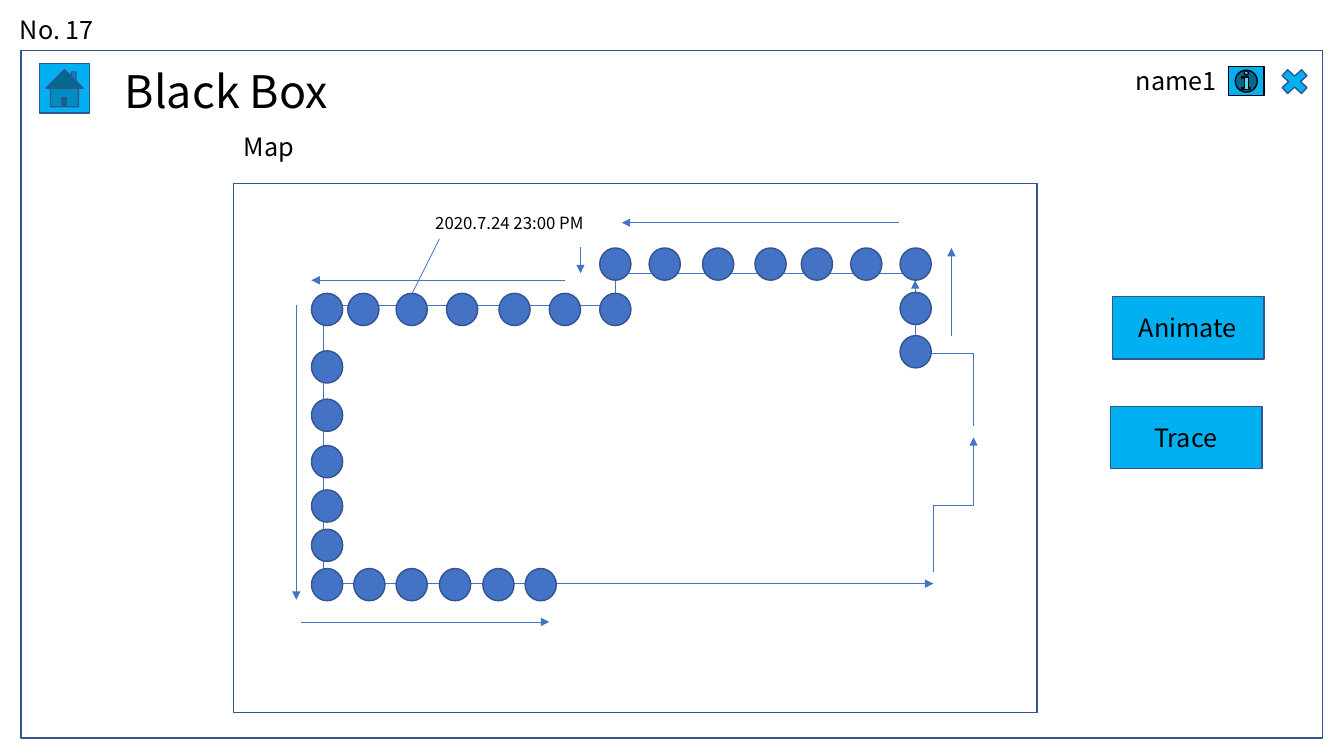
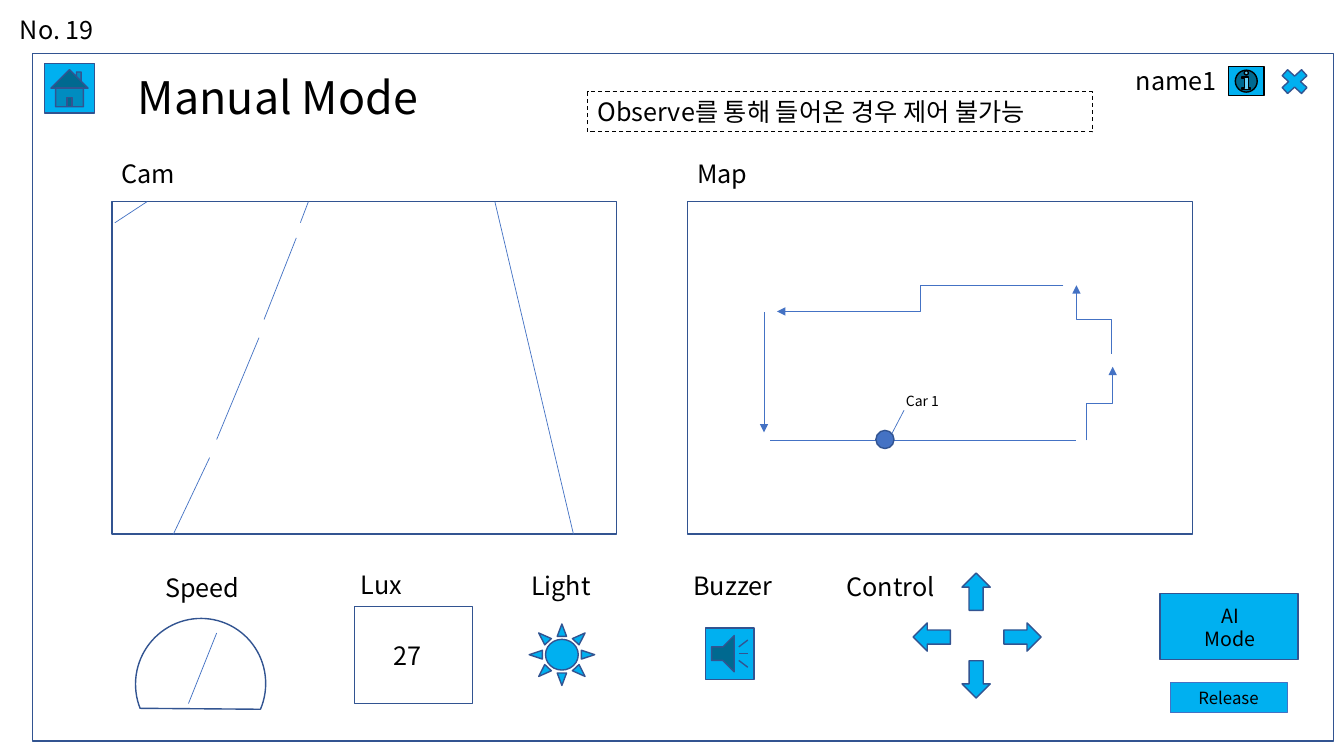
import pptx
import pptx.dml.color
import pptx.enum.dml
import pptx.enum.shapes
import pptx.enum.text
import pptx.oxml.ns
import pptx.util
from lxml import etree

SHAPE = pptx.enum.shapes.MSO_SHAPE
CONNECTOR = pptx.enum.shapes.MSO_CONNECTOR
CENTER = pptx.enum.text.PP_ALIGN.CENTER
FONT = "Noto Sans CJK KR"
BLACK, SKY, BLUE, NAVY = "000000", "00B0F0", "4472C4", "325491"
DOT_WIDTH, DOT_HEIGHT = 0.31, 0.32


def color(value):
    return pptx.dml.color.RGBColor.from_string(value)


def length(inches):
    return pptx.util.Cm(inches * 2.54)


def add_xml(parent, tag, **attributes):
    return etree.SubElement(parent, pptx.oxml.ns.qn(tag), **attributes)


class Screen:
    """Draws the elements of one app screen in the shared style."""

    def __init__(self, deck):
        self.page = deck.slides.add_slide(deck.slide_layouts[6])

    def outline(self, item, line, width, dash=None):
        item.line.color.rgb = color(line)
        values = {"width": pptx.util.Pt(width), "dash_style": dash}
        for name, value in values.items():
            if value is not None:
                setattr(item.line, name, value)

    def shape(self, kind, at, fill=None, line=NAVY, rotation=0):
        item = self.page.shapes.add_shape(kind, *map(length, at))
        item.shadow.inherit = False
        item.rotation = rotation
        if fill:
            item.fill.solid()
            item.fill.fore_color.rgb = color(fill)
        else:
            item.fill.background()
        self.outline(item, line, 1)
        return item

    def text(self, words, at, size=18, align=None):
        box = self.page.shapes.add_textbox(*map(length, at))
        frame = box.text_frame
        frame.word_wrap = True
        frame.auto_size = pptx.enum.text.MSO_AUTO_SIZE.SHAPE_TO_FIT_TEXT
        values = {"name": FONT, "size": pptx.util.Pt(size)}
        for index, line in enumerate(words.split("\n")):
            para = frame.add_paragraph() if index else frame.paragraphs[0]
            para.alignment = align
            span = para.add_run()
            span.text = line
            for name, value in values.items():
                setattr(span.font, name, value)
            span.font.color.rgb = color(BLACK)
            add_xml(span._r.get_or_add_rPr(), "a:ea", typeface=FONT)
        return box

    def line(self, start, end, arrow=False, kind=CONNECTOR.STRAIGHT):
        item = self.page.shapes.add_connector(kind, *map(length, (*start, *end)))
        self.outline(item, BLUE, 0.5)
        if arrow:
            add_xml(item.line._get_or_add_ln(), "a:tailEnd", type="triangle")
        add_xml(item._element.spPr, "a:effectLst")
        return item

    def arrow(self, start, end):
        self.line(start, end, True)

    def step(self, start, end):
        self.line(start, end, True, CONNECTOR.ELBOW)

    def rising_step(self, start, end):
        (left, low), (right, high) = start, end
        middle_x, middle_y = (left + right) / 2, (low + high) / 2
        turn = 1 if right > left else -1
        reach, rise = turn * (low - high) / 2, abs(right - left) / 2
        item = self.line((middle_x + reach, middle_y + rise),
                         (middle_x - reach, middle_y - rise), True, CONNECTOR.ELBOW)
        angle = 90 if turn > 0 else 270
        item._element.spPr.find(pptx.oxml.ns.qn("a:xfrm")).set("rot", str(angle * 60000))

    def dot(self, left, top, width=DOT_WIDTH, height=DOT_HEIGHT):
        self.shape(SHAPE.OVAL, (left, top, width, height), BLUE)

    def header(self, number, title, title_at, frame_corner, home_left):
        self.text(number, (0.1, 0.09, 1.13, 0.4))
        self.shape(SHAPE.RECTANGLE, (*frame_corner, 12.91, 6.82))
        self.shape(SHAPE.ACTION_BUTTON_HOME, (home_left, 0.63, 0.5, 0.49), SKY)
        self.text(title, title_at, 32)
        self.text("name1", (11.17, 0.6, 1.02, 0.4))
        self.shape(SHAPE.ACTION_BUTTON_INFORMATION, (12.19, 0.66, 0.35, 0.29), SKY, BLACK)
        self.shape(SHAPE.MATH_MULTIPLY, (12.66, 0.64, 0.37, 0.34), SKY)


def draw_black_box(deck):
    screen = Screen(deck)
    screen.header("No. 17", "Black Box", (1.14, 0.58, 3.52, 0.64), (0.21, 0.5), 0.39)
    screen.text("Map", (2.32, 1.25, 1.57, 0.4))
    screen.shape(SHAPE.RECTANGLE, (2.32, 1.82, 7.97, 5.25))

    screen.step((9, 2.71), (3.21, 3.03))
    screen.rising_step((9.26, 5.68), (9.66, 4.34))
    screen.rising_step((9.66, 4.23), (9.08, 2.78))
    for start, end in (
        ((3.21, 3.03), (3.21, 5.79)),
        ((3.36, 5.79), (9.26, 5.79)),
        ((9.44, 3.33), (9.44, 2.46)),
        ((8.92, 2.21), (6.17, 2.21)),
        ((5.76, 2.45), (5.76, 2.71)),
        ((5.61, 2.78), (3.09, 2.78)),
        ((2.94, 3.03), (2.94, 5.95)),
        ((2.99, 6.17), (5.45, 6.17)),
    ):
        screen.arrow(start, end)

    dot_rows = {
        2.46: (5.95, 6.44, 6.97, 7.49, 7.95, 8.44, 8.93),
        2.91: (3.09, 3.45, 3.93, 4.43, 4.95, 5.45, 5.95),
        5.64: (3.09, 3.51, 3.93, 4.36, 4.79, 5.21),
    }
    dot_columns = {3.09: (3.48, 3.96, 4.42, 4.86, 5.25), 8.93: (3.33, 2.9)}
    for top, lefts in dot_rows.items():
        for left in lefts:
            screen.dot(left, top)
    for left, tops in dot_columns.items():
        for top in tops:
            screen.dot(left, top)

    screen.line((4.09, 2.91), (4.36, 2.37))
    screen.text("2020.7.24 23:00 PM", (4.22, 2.06, 1.76, 0.3), 12)
    for label, left, top in (("Animate", 11.04, 2.94), ("Trace", 11.02, 4.03)):
        screen.shape(SHAPE.RECTANGLE, (left, top, 1.5, 0.62), SKY)
        screen.text(label, (left + 0.13, top + 0.11, 1.23, 0.4), align=CENTER)


def draw_manual_mode(deck):
    screen = Screen(deck)
    screen.header("No. 19", "Manual Mode", (1.27, 0.64, 3.24, 0.64), (0.32, 0.53), 0.44)
    notice = screen.text("Observe를 통해 들어온 경우 제어 불가능", (5.83, 0.91, 5.01, 0.4))
    screen.outline(notice, BLACK, 0.75, pptx.enum.dml.MSO_LINE.DASH)

    for label, left in (("Cam", 1.11), ("Map", 6.82)):
        screen.text(label, (left, 1.52, 0.97, 0.4))
        screen.shape(SHAPE.RECTANGLE, (left, 2, 5.01, 3.3))

    for start, end in (
        ((4.91, 2), (5.69, 5.3)),
        ((3.06, 2), (2.98, 2.21)),
        ((2.94, 2.36), (2.62, 3.17)),
        ((2.57, 3.35), (2.15, 4.36)),
        ((2.08, 4.54), (1.72, 5.3)),
        ((1.46, 2), (1.14, 2.21)),
        ((7.64, 4.37), (10.68, 4.37)),
        ((8.85, 4.3), (8.97, 4.07)),
    ):
        screen.line(start, end)
    screen.step((10.55, 2.83), (7.71, 3.09))
    screen.arrow((7.58, 3.1), (7.58, 4.29))
    screen.rising_step((10.78, 4.37), (11.04, 3.64))
    screen.rising_step((11.03, 3.51), (10.68, 2.83))
    screen.dot(8.69, 4.27, 0.18, 0.18)
    screen.text("Car 1", (8.89, 3.84, 0.61, 0.27), 10)

    for label, left, top, width in (
        ("Speed", 1.54, 5.63, 1.03),
        ("Lux", 3.48, 5.6, 1.03),
        ("Light", 5.17, 5.61, 0.82),
        ("Buzzer", 6.78, 5.61, 1.03),
        ("Control", 8.3, 5.62, 1.16),
        ("27", 3.81, 6.3, 0.58),
    ):
        screen.text(label, (left, top, width, 0.4))
    screen.shape(SHAPE.CHORD, (1.34, 6.14, 1.3, 1.29), rotation=113)
    screen.line((2.15, 6.28), (1.87, 6.98))
    screen.shape(SHAPE.RECTANGLE, (3.52, 6.02, 1.17, 0.96))
    screen.shape(SHAPE.SUN, (5.25, 6.19, 0.65, 0.61), SKY)
    screen.shape(SHAPE.ACTION_BUTTON_SOUND, (7, 6.23, 0.48, 0.51), SKY)
    for left, top, angle in ((9.96, 6.18, 0), (9.5, 6.6, 90), (9.06, 6.18, 180), (9.5, 5.73, 270)):
        screen.shape(SHAPE.RIGHT_ARROW, (left, top, 0.37, 0.28), SKY, rotation=angle)

    screen.shape(SHAPE.ACTION_BUTTON_CUSTOM, (11.51, 5.89, 1.37, 0.65), SKY)
    screen.text("AI\nMode", (11.65, 5.94, 1.11, 0.57), 14, CENTER)
    release = screen.text("Release", (11.61, 6.77, 1.16, 0.3), 12, CENTER)
    release.fill.solid()
    release.fill.fore_color.rgb = color(SKY)
    screen.outline(release, BLUE, 0.25)


def main():
    deck = pptx.Presentation()
    deck.slide_width = pptx.util.Cm(33.87)
    deck.slide_height = pptx.util.Cm(19.05)
    draw_black_box(deck)
    draw_manual_mode(deck)
    deck.save("out.pptx")


if __name__ == "__main__":
    main()
